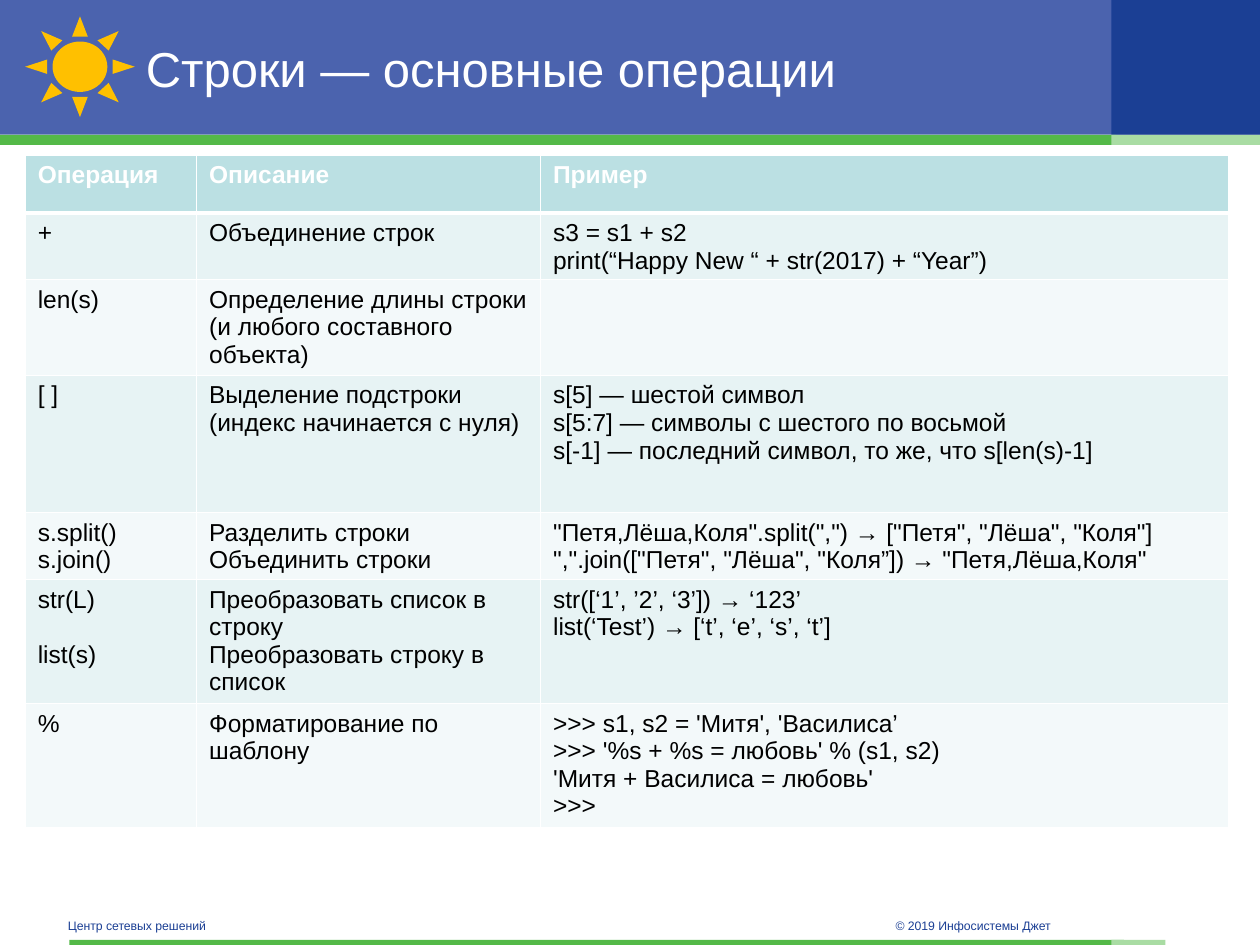
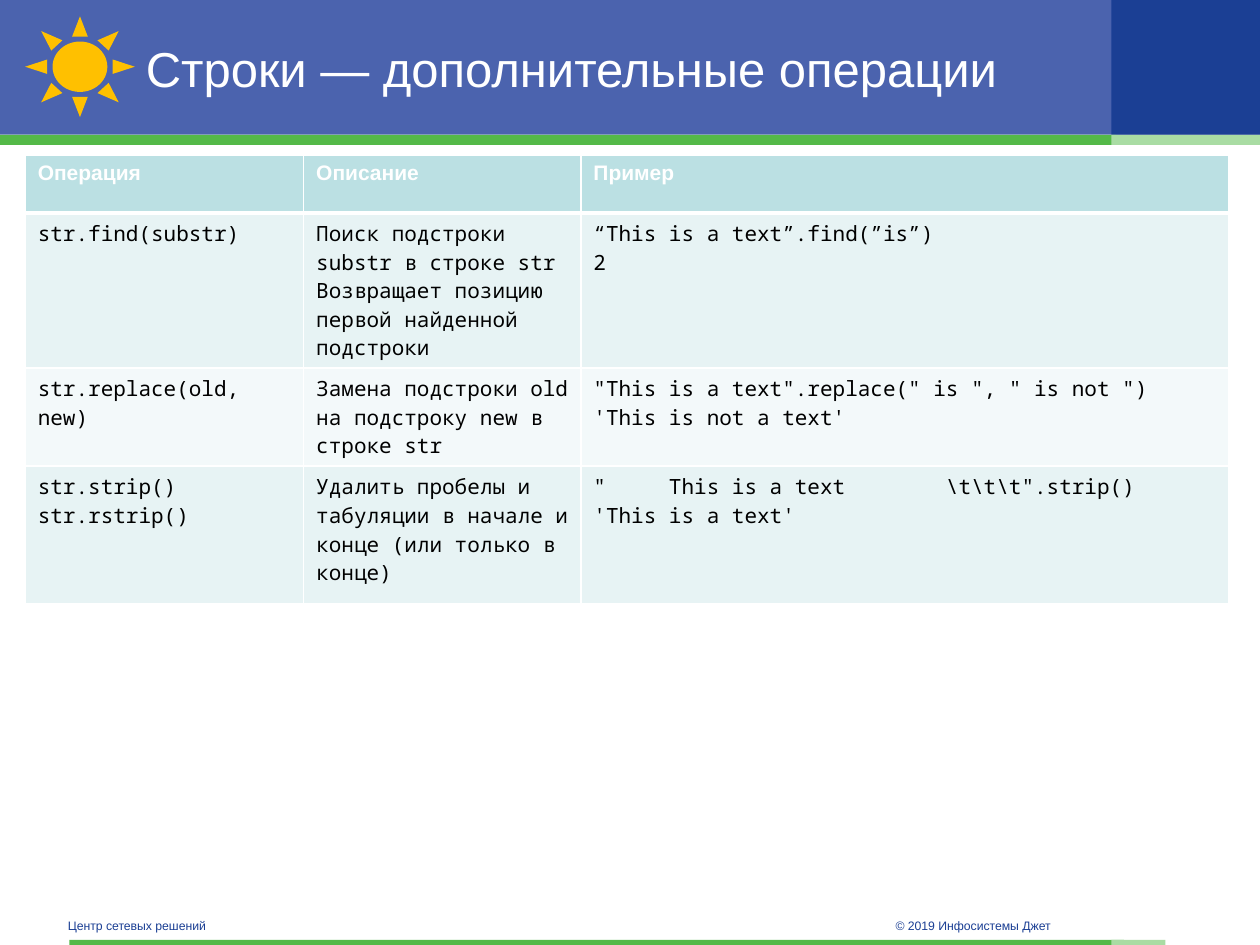
from lxml import etree
from pptx import Presentation
from pptx.dml.color import RGBColor
from pptx.enum.shapes import MSO_SHAPE
from pptx.enum.text import MSO_ANCHOR
from pptx.oxml.ns import qn
from pptx.util import Inches, Pt

RECTANGLE, SUN = MSO_SHAPE.RECTANGLE, MSO_SHAPE.SUN
MIDDLE = MSO_ANCHOR.MIDDLE

WHITE, BLACK, NAVY, GOLD = "FFFFFF", "000000", "1B3F94", "FFC000"
HEADER_FILL = "BBE0E3"
ROW_FILLS = ["E7F3F4", "F3F9FA"]
SANS, MONO = "Arial", "Noto Sans Mono"

# Content: each cell is a list of paragraphs
HEADINGS = ["Операция", "Описание", "Пример"]
SLIDES = [
    {
        "title": "Строки — основные операции",
        "font": SANS,
        "size": 14,
        "columns": [1.36, 2.73, 5.46],
        "heights": [0.46, 0.53, 0.76, 1.09, 0.53, 0.97, 0.97],
        "gaps": {"list(s)": 15.7},
        "rows": [
            (["+"], ["Объединение строк"],
             ["s3 = s1 + s2", "print(“Happy New “ + str(2017) + “Year”)"]),
            (["len(s)"],
             ["Определение длины строки (и любого составного объекта)"], []),
            (["[ ]"], ["Выделение подстроки (индекс начинается с нуля)"],
             ["s[5] — шестой символ",
              "s[5:7] — символы с шестого по восьмой",
              "s[-1] — последний символ, то же, что s[len(s)-1]"]),
            (["s.split()", "s.join()"],
             ["Разделить строки", "Объединить строки"],
             ['"Петя,Лёша,Коля".split(",") → ["Петя", "Лёша", "Коля"]',
              '",".join(["Петя", "Лёша", "Коля”]) → "Петя,Лёша,Коля"']),
            (["str(L)", "list(s)"],
             ["Преобразовать список в строку",
              "Преобразовать строку в список"],
             ["str([‘1’, ’2’, ‘3’]) → ‘123’",
              "list(‘Test’) → [‘t’, ‘e’, ‘s’, ‘t’]"]),
            (["%"], ["Форматирование по шаблону"],
             [">>> s1, s2 = 'Митя', 'Василиса’",
              ">>> '%s + %s = любовь' % (s1, s2)",
              "'Митя + Василиса = любовь'",
              ">>>"]),
        ],
    },
    {
        "title": "Строки — дополнительные операции",
        "font": MONO,
        "size": 12,
        "columns": [2.21, 2.2, 5.14],
        "heights": [0.46, 1.23, 0.78, 1.09],
        "gaps": {},
        "rows": [
            (["str.find(substr)"],
             ["Поиск подстроки substr в строке str",
              "Возвращает позицию первой найденной подстроки"],
             ["“This is a text”.find(”is”)", "2"]),
            (["str.replace(old, new)"],
             ["Замена подстроки old на подстроку new в строке str"],
             ['"This is a text".replace(" is ", " is not ")',
              "'This is not a text'"]),
            (["str.strip()", "str.rstrip()"],
             ["Удалить пробелы и табуляции в начале и конце "
              "(или только в конце)"],
             [r'"     This is a text        \t\t\t".strip()',
              "'This is a text'"]),
        ],
    },
]

# Shared decoration: left, top, width, height, colour
BANDS = [
    (0, 0, 10, 1.07, "4B63AE"),
    (8.82, 0, 1.18, 1.07, NAVY),
    (0, 1.07, 8.86, 0.08, "54B948"),
    (8.82, 1.07, 1.18, 0.08, "A9DCA3"),
    (0.55, 7.46, 8.37, 0.04, "54B948"),
    (8.82, 7.46, 0.43, 0.04, "A9DCA3"),
]
FOOTERS = [
    ("© 2019 Инфосистемы Джет", 7.01, 2.36),
    ("Центр сетевых решений", 0.44, 3.3),
]


def color(value):
    return RGBColor.from_string(value)


def write(frame, lines, font=SANS, size=14, ink=BLACK, bold=False, gaps=None):
    """Fill a text frame, one paragraph per line."""
    for index, line in enumerate(lines):
        para = frame.paragraphs[0] if index == 0 else frame.add_paragraph()
        if gaps and line in gaps:
            para.space_before = Pt(gaps[line])
        span = para.add_run()
        span.text = line
        span.font.name = font
        span.font.size = Pt(size)
        span.font.bold = bold
        span.font.color.rgb = color(ink)


def add_text(page, text, left, top, width, height, **style):
    box = page.shapes.add_textbox(*map(Inches, (left, top, width, height)))
    box.text_frame.word_wrap = True
    box.text_frame.vertical_anchor = MIDDLE
    write(box.text_frame, [text], **style)


def add_block(page, kind, left, top, width, height, fill):
    shape = page.shapes.add_shape(
        kind, *map(Inches, (left, top, width, height)))
    shape.shadow.inherit = False
    shape.fill.solid()
    shape.fill.fore_color.rgb = color(fill)
    shape.line.fill.background()


def set_borders(cell, **widths):
    """White cell borders, widths in points keyed by side."""
    properties = cell._tc.get_or_add_tcPr()
    for side in "LRTB":
        line = etree.SubElement(properties, qn("a:ln" + side),
                                w=str(Pt(widths.get(side, 1))))
        fill = etree.SubElement(line, qn("a:solidFill"))
        etree.SubElement(fill, qn("a:srgbClr"), val=WHITE)


def fill_cell(cell, lines, fill, borders, **style):
    set_borders(cell, **borders)
    # Without a bottom margin the rows keep their set heights
    cell.margin_bottom = 0
    cell.fill.solid()
    cell.fill.fore_color.rgb = color(fill)
    write(cell.text_frame, lines, **style)


def add_operations(page, content):
    columns, heights = content["columns"], content["heights"]
    table = page.shapes.add_table(
        len(heights), len(columns), Inches(0.2), Inches(1.23),
        Inches(sum(columns)), Inches(sum(heights))).table
    for column, width in zip(table.columns, columns):
        column.width = Inches(width)
    for row, height in zip(table.rows, heights):
        row.height = Inches(height)

    # Heading row, with a thick rule below it
    for cell, heading in zip(table.rows[0].cells, HEADINGS):
        fill_cell(cell, [heading], HEADER_FILL, {"B": 3},
                  size=content["size"], ink=WHITE, bold=True)

    # Body rows in alternating tints
    for number, entries in enumerate(content["rows"]):
        borders = {"T": 3} if number == 0 else {}
        for cell, lines in zip(table.rows[number + 1].cells, entries):
            fill_cell(cell, lines, ROW_FILLS[number % 2], borders,
                      font=content["font"], size=content["size"],
                      gaps=content["gaps"])


def add_page(deck, content):
    page = deck.slides.add_slide(deck.slide_layouts[6])
    for band in BANDS:
        add_block(page, RECTANGLE, *band)
    for text, left, width in FOOTERS:
        add_text(page, text, left, 7.23, width, 0.23, size=7, ink=NAVY)
    add_text(page, content["title"], 1.06, 0.14, 7.56, 0.79,
             size=28, ink=WHITE)
    add_operations(page, content)
    add_block(page, SUN, 0.2, 0.13, 0.87, 0.8, GOLD)


def main():
    deck = Presentation()
    deck.slide_width, deck.slide_height = Inches(10), Inches(7.5)
    for content in SLIDES:
        add_page(deck, content)
    deck.save("out.pptx")


if __name__ == "__main__":
    main()
